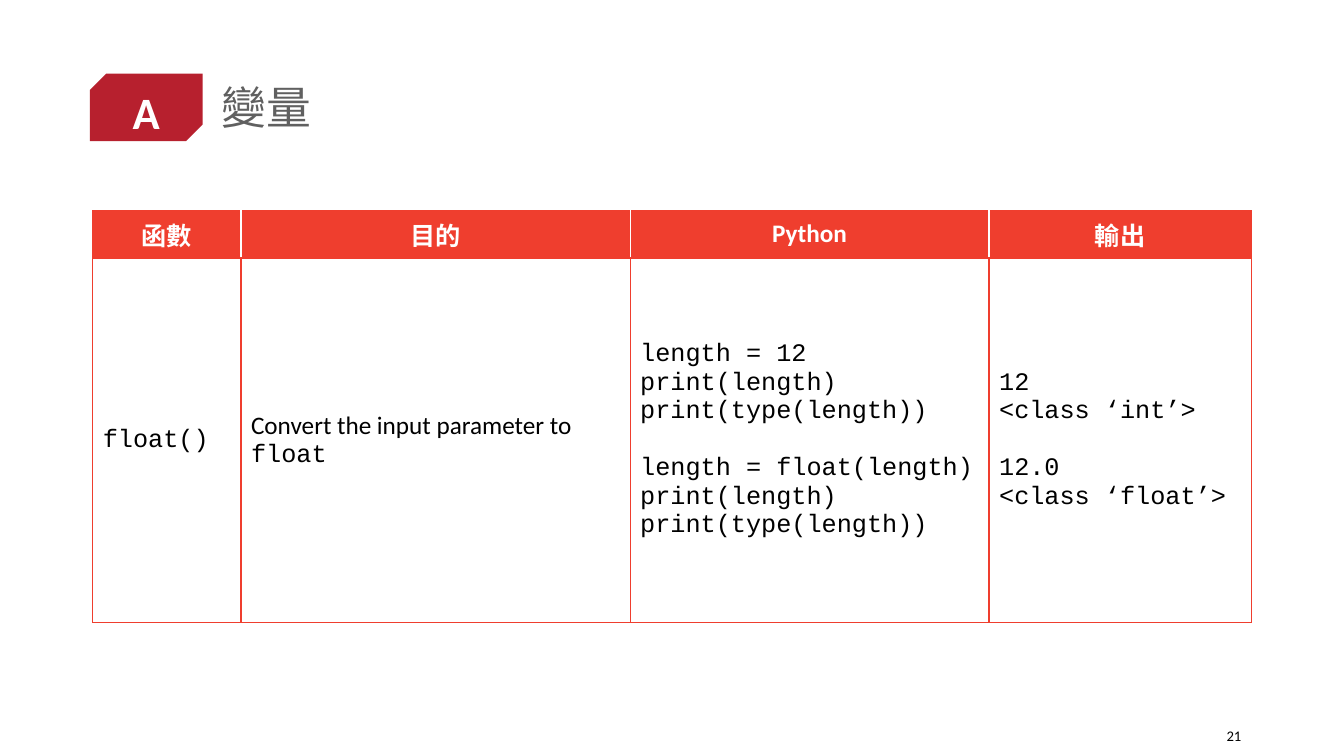
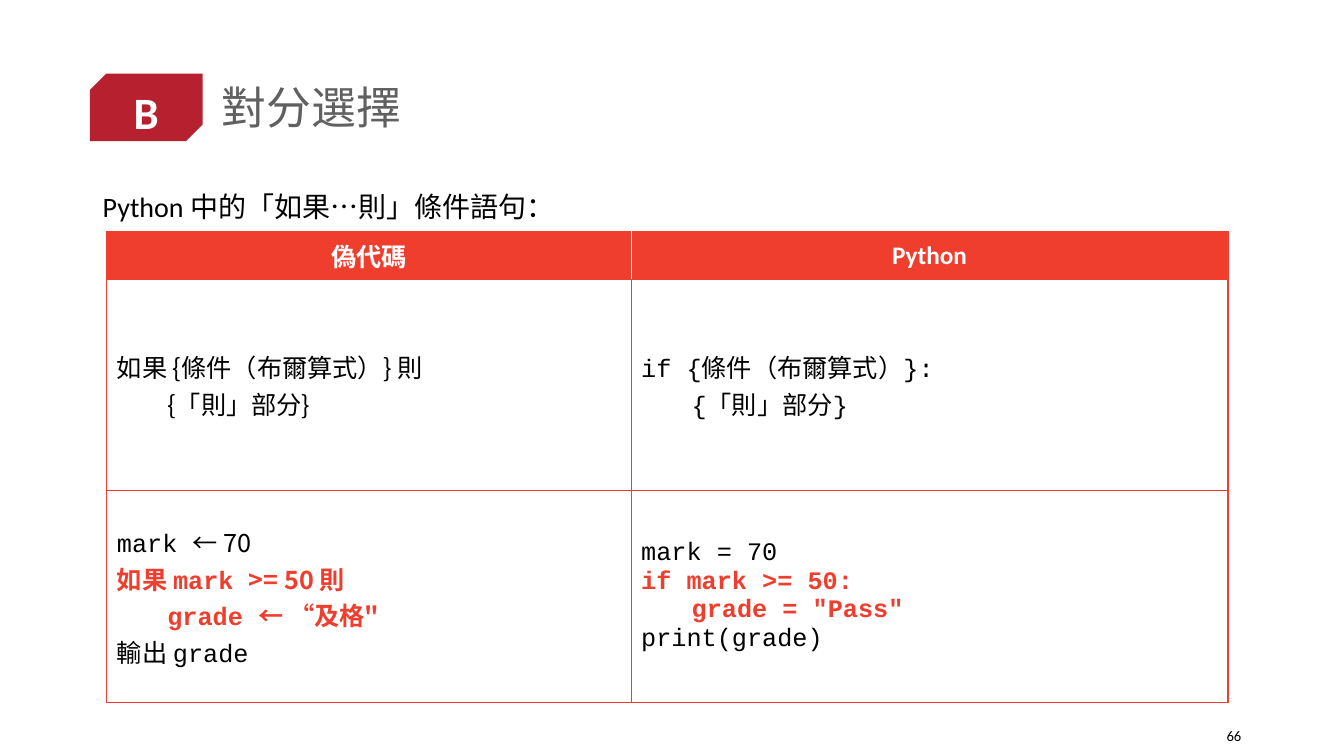
from dataclasses import dataclass

from lxml import etree
from pptx import Presentation
from pptx import util as u
from pptx.dml.color import RGBColor
from pptx.enum import shapes, text
from pptx.oxml import ns

COLORS = {
    "badge": "B7202E",
    "accent": "EF3E2E",
    "title": "606060",
    "text": "000000",
    "white": "FFFFFF",
}
SANS, MONO, CJK = "Calibri", "Courier New", "Noto Sans CJK TC"
CENTER, RIGHT = text.PP_ALIGN.CENTER, text.PP_ALIGN.RIGHT
MIDDLE = text.MSO_ANCHOR.MIDDLE
HEADER_HEIGHT = 0.47


@dataclass
class Line:
    runs: list
    highlight: bool = False
    space_before: float = 0


def code(*lines):
    return [Line([(line, MONO)]) for line in lines]


def rgb(name):
    return RGBColor.from_string(COLORS[name])


def box(left, top, width, height):
    return [u.Inches(length) for length in (left, top, width, height)]


def write(paragraph, runs, size, color="text", bold=False, align=None):
    for content, font_name in runs:
        run = paragraph.add_run()
        run.text = content
        run.font.name = font_name
        properties = run._r.get_or_add_rPr()
        etree.SubElement(properties, ns.qn("a:ea")).set("typeface", CJK)
    paragraph.font.size = u.Pt(size)
    paragraph.font.bold = bold
    paragraph.font.color.rgb = rgb(color)
    if align is not None:
        paragraph.alignment = align


def add_label(slide, area, content, size, align=None, anchor=text.MSO_ANCHOR.TOP):
    frame = slide.shapes.add_textbox(*box(*area)).text_frame
    frame.word_wrap = True
    frame.vertical_anchor = anchor
    write(frame.paragraphs[0], [(content, SANS)], size, align=align)
    return frame.paragraphs[0]


def add_badge(slide, area, letter):
    badge = slide.shapes.add_shape(
        shapes.MSO_SHAPE.SNIP_2_DIAG_RECTANGLE, *box(*area))
    badge.adjustments[0], badge.adjustments[1] = 0.245, 0
    badge.shadow.inherit = False
    badge.fill.solid()
    badge.fill.fore_color.rgb = rgb("badge")
    badge.line.fill.background()
    frame = badge.text_frame
    frame.margin_top = u.Inches(0.08)
    frame.margin_bottom = 0
    frame.vertical_anchor = MIDDLE
    write(frame.paragraphs[0], [(letter, SANS)], 32, "white", True, CENTER)


def add_titled_slide(presentation, letter, heading, number):
    slide = presentation.slides.add_slide(presentation.slide_layouts[5])
    title = slide.shapes.title
    title.left, title.top, title.width, title.height = box(2.1, 0.4, 10.32, 1.38)
    title.text_frame.vertical_anchor = MIDDLE
    paragraph = title.text_frame.paragraphs[0]
    write(paragraph, [(heading, CJK)], 32, "title", align=text.PP_ALIGN.LEFT)
    paragraph.line_spacing = 0.9
    add_badge(slide, (0.89, 0.73, 1.12, 0.67), letter)
    add_label(slide, (11.57, 7.1, 0.84, 0.4), number, 10.5, RIGHT, MIDDLE)
    return slide


def set_borders(cell, sides):
    properties = cell._tc.get_or_add_tcPr()
    for index, (side, color) in enumerate(sides.items()):
        line = etree.Element(ns.qn(f"a:ln{side}"), w=str(u.Pt(1)))
        fill = etree.SubElement(line, ns.qn("a:solidFill"))
        etree.SubElement(fill, ns.qn("a:srgbClr"), val=COLORS[color])
        properties.insert(index, line)


def fill_header(cell, heading, first, last):
    cell.fill.solid()
    cell.fill.fore_color.rgb = rgb("accent")
    write(cell.text_frame.paragraphs[0], [(heading, SANS)], 18, "white", True, CENTER)
    set_borders(cell, {
        "L": "accent" if first else "white",
        "R": "accent" if last else "white",
        "T": "accent",
        "B": "accent",
    })


def fill_body(cell, lines):
    cell.fill.background()
    frame = cell.text_frame
    for index, line in enumerate(lines):
        paragraph = frame.add_paragraph() if index else frame.paragraphs[0]
        color = "accent" if line.highlight else "text"
        write(paragraph, line.runs, 18, color, line.highlight)
        if line.space_before:
            paragraph.space_before = u.Pt(line.space_before)
    set_borders(cell, dict.fromkeys("LRTB", "accent"))


def add_code_table(slide, left, top, widths, row_height, headings, rows):
    heights = [HEADER_HEIGHT] + [row_height] * len(rows)
    table = slide.shapes.add_table(
        len(heights), len(widths),
        *box(left, top, sum(widths), sum(heights))).table
    table.horz_banding = False
    for column, width in zip(table.columns, widths):
        column.width = u.Inches(width)
    for row, height in zip(table.rows, heights):
        row.height = u.Inches(height)
    for cell in table.iter_cells():
        cell.vertical_anchor = MIDDLE
    for index, heading in enumerate(headings):
        fill_header(table.cell(0, index), heading,
                    index == 0, index == len(headings) - 1)
    for row_index, row in enumerate(rows, 1):
        for column_index, lines in enumerate(row):
            fill_body(table.cell(row_index, column_index), lines)


def build_variables(presentation):
    slide = add_titled_slide(presentation, "A", "變量", "21")
    source = code("length = 12", "print(length)", "print(type(length))",
                  "length = float(length)", "print(length)", "print(type(length))")
    output = code("12", "<class ‘int’>", "12.0", "<class ‘float’>")
    source[3].space_before = output[2].space_before = 20.4
    purpose = [Line([("Convert the input parameter to ", SANS), ("float", MONO)])]
    add_code_table(slide, 0.92, 2.09, [1.47, 3.86, 3.56, 2.6], 3.62,
                   ["函數", "目的", "Python", "輸出"],
                   [[code("float()"), purpose, source, output]])


def build_selection(presentation):
    slide = add_titled_slide(presentation, "B", "對分選擇", "66")
    intro = add_label(slide, (0.92, 1.76, 11.5, 0.54),
                      "Python 中的「如果…則」條件語句：", 20)
    intro.line_spacing = 1.2
    pseudo_form = [
        Line([("如果 {條件（布爾算式）} 則", CJK)]),
        Line([("\t{「則」部分}", CJK)]),
    ]
    python_form = [
        Line([("if {", MONO), ("條件（布爾算式）", SANS), ("}:", MONO)]),
        Line([("\t{", MONO), ("「則」部分", SANS), ("}", MONO)]),
    ]
    pseudo_example = [
        Line([("mark ", MONO), ("← 70", CJK)]),
        Line([("如果 ", CJK), ("mark ", MONO), (">= 50 則", CJK)], True),
        Line([("\t", CJK), ("grade ", MONO), ("← “及格\"", CJK)], True),
        Line([("輸出 ", CJK), ("grade", MONO)]),
    ]
    python_example = code("mark = 70", "if mark >= 50:",
                          "\tgrade = \"Pass\"", "print(grade)")
    for line in python_example[1:3]:
        line.highlight = True
    add_code_table(slide, 1.06, 2.3, [5.2, 5.92], 2.1, ["偽代碼", "Python"],
                   [[pseudo_form, python_form], [pseudo_example, python_example]])


def main():
    presentation = Presentation()
    presentation.slide_width = u.Inches(13.33)
    presentation.slide_height = u.Inches(7.5)
    build_variables(presentation)
    build_selection(presentation)
    presentation.save("out.pptx")


if __name__ == "__main__":
    main()
